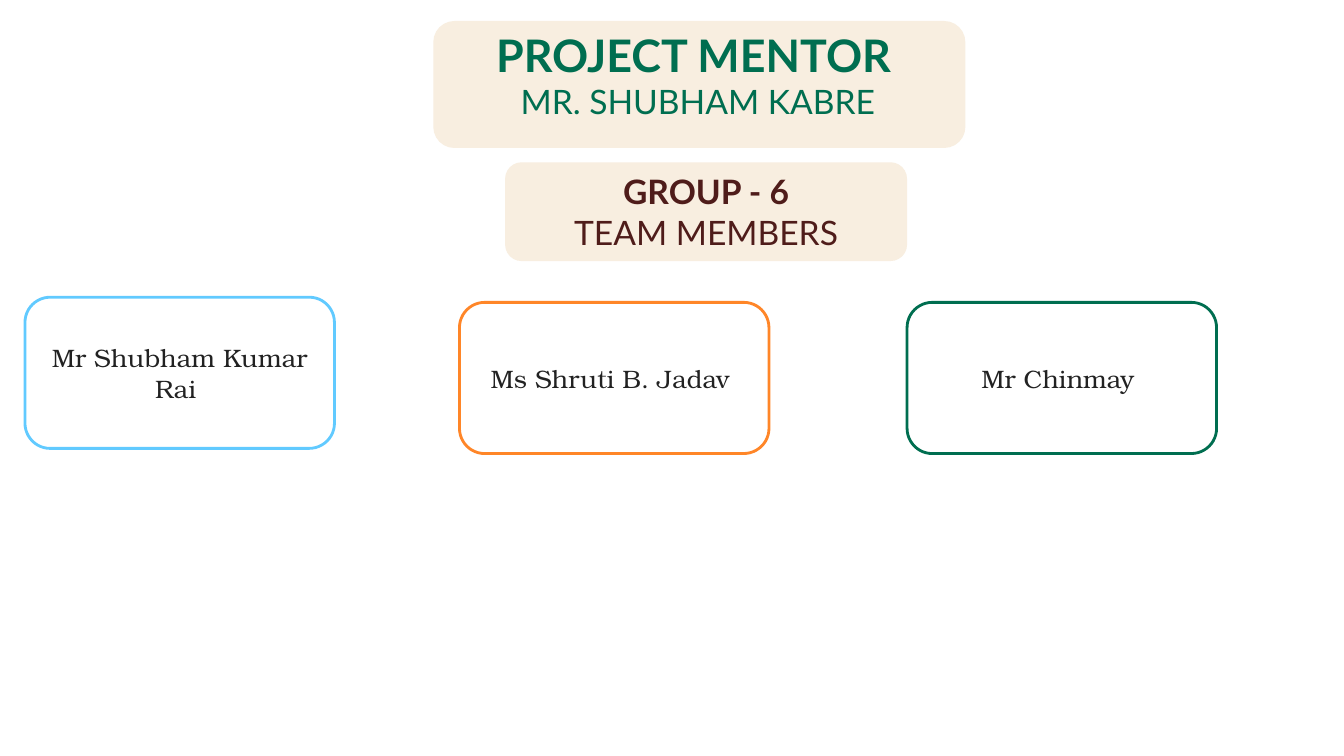
from pptx import Presentation
from pptx.dml.color import RGBColor
from pptx.enum.shapes import MSO_SHAPE
from pptx.enum.text import MSO_ANCHOR, MSO_AUTO_SIZE, PP_ALIGN
from pptx.util import Cm, Pt

ROUNDED = MSO_SHAPE.ROUNDED_RECTANGLE
CENTER = PP_ALIGN.CENTER
TOP, MIDDLE = MSO_ANCHOR.TOP, MSO_ANCHOR.MIDDLE
NO_AUTOFIT = MSO_AUTO_SIZE.NONE

CREAM, WHITE = "F8EEE0", "FFFFFF"
GREEN, BROWN, INK = "006E50", "4F1C1A", "222222"
SKY, ORANGE = "61CAFF", "FF8628"


def paint(color_format, hex_color):
    color_format.rgb = RGBColor.from_string(hex_color)


def write(paragraph, text, size, color, font="Lato", bold=False, before=0):
    paragraph.alignment = CENTER
    paragraph.line_spacing = 1.0
    paragraph.space_before = Pt(before)
    run = paragraph.add_run()
    run.text = text
    run.font.name = font
    run.font.size = Pt(size)
    run.font.bold = bold
    paint(run.font.color, color)


prs = Presentation()
prs.slide_width, prs.slide_height = Cm(33.87), Cm(19.05)
slide = prs.slides.add_slide(prs.slide_layouts[5])

# Cards: left, top, width, height, fill, outline
card_places = [
    (10.92, 0.53, 13.41, 3.2, CREAM, None),
    (12.73, 4.09, 10.13, 2.49, CREAM, None),
    (0.63, 7.49, 7.8, 3.81, WHITE, SKY),
    (11.58, 7.62, 7.8, 3.81, WHITE, ORANGE),
    (22.86, 7.62, 7.8, 3.81, WHITE, GREEN),
]
cards = []
for left, top, width, height, fill, outline in card_places:
    card = slide.shapes.add_shape(ROUNDED, Cm(left), Cm(top), Cm(width), Cm(height))
    card.shadow.inherit = False
    card.fill.solid()
    paint(card.fill.fore_color, fill)
    if outline:
        paint(card.line.color, outline)
        card.line.width = Pt(2)
    else:
        card.line.fill.background()
    card.text_frame.word_wrap = True
    card.text_frame.vertical_anchor = MIDDLE
    cards.append(card)
mentor_card, group_card, *member_cards = cards

# Mentor title, in front of its card
mentor = slide.shapes.title
mentor_card.element.addnext(mentor.element)
mentor.left, mentor.top = Cm(12.12), Cm(0.56)
mentor.width, mentor.height = Cm(10.72), Cm(2.64)
mentor_text = mentor.text_frame
mentor_text.auto_size = NO_AUTOFIT
mentor_text.vertical_anchor = TOP
write(mentor_text.paragraphs[0], "PROJECT MENTOR", 32, GREEN, bold=True, before=6)
write(mentor_text.add_paragraph(), " MR. SHUBHAM KABRE", 24, GREEN)

# Group heading
group_text = group_card.text_frame
write(group_text.paragraphs[0], "GROUP - 6", 24, BROWN, bold=True)
write(group_text.add_paragraph(), "TEAM MEMBERS", 24, BROWN)

# Team members
members = ["Mr Shubham Kumar Rai ", "Ms Shruti B. Jadav ", "Mr Chinmay "]
for card, member in zip(member_cards, members):
    write(card.text_frame.paragraphs[0], member, 18, INK, font="TeX Gyre Bonum")

prs.save("out.pptx")
